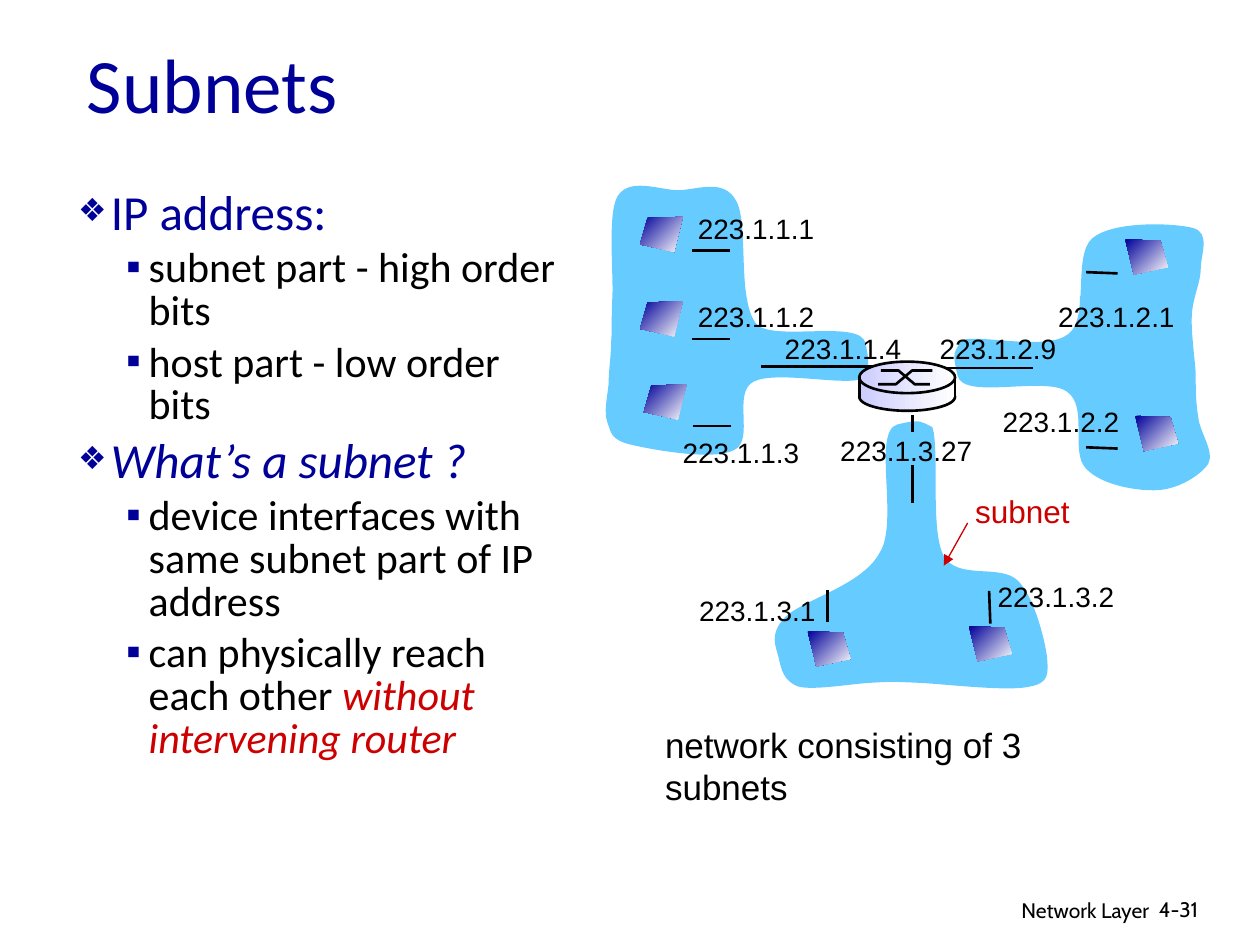
from lxml.etree import SubElement
from pptx import Presentation
from pptx.dml.color import RGBColor
from pptx.enum.shapes import MSO_CONNECTOR, MSO_SHAPE
from pptx.enum.text import MSO_ANCHOR, MSO_AUTO_SIZE, PP_ALIGN
from pptx.oxml.ns import qn
from pptx.util import Cm, Pt

NAVY, RED, SKY, LILAC = "000099", "CC0000", "66CCFF", "CCCCFF"
BLACK, WHITE = "000000", "FFFFFF"

WEST = [(208, 132),
        (205, 112, 138, 130, 122, 117), (105, 98, 116, 36, 105, 18),
        (95, 0, 74, 10, 58, 10), (42, 9, 20, 0, 11, 15),
        (3, 29, 8, 76, 7, 95), (6, 114, 7, 119, 6, 131),
        (6, 142, 4, 153, 4, 164), (3, 174, 0, 186, 3, 194),
        (6, 202, 5, 208, 22, 212), (39, 216, 88, 225, 104, 216),
        (120, 208, 102, 171, 119, 162), (136, 153, 189, 165, 204, 160),
        (210, 150, 212, 152, 208, 132)]
EAST = [(5, 123),
        (9, 143, 75, 123, 92, 136), (109, 148, 94, 184, 107, 197),
        (119, 210, 148, 215, 164, 214), (181, 213, 198, 202, 204, 193),
        (209, 183, 197, 168, 196, 156), (194, 144, 194, 134, 194, 121),
        (193, 107, 190, 87, 191, 74), (192, 60, 198, 49, 198, 38),
        (198, 27, 206, 10, 192, 6), (177, 2, 129, 0, 112, 14),
        (96, 28, 110, 77, 93, 90), (76, 104, 23, 90, 8, 95),
        (3, 105, 0, 103, 5, 123)]
SOUTH = [(102, 5),
         (82, 11, 104, 83, 88, 107), (74, 133, 27, 144, 13, 158),
         (0, 172, 6, 181, 8, 190), (10, 199, 12, 209, 24, 213),
         (36, 216, 64, 211, 80, 210), (96, 209, 99, 209, 120, 210),
         (141, 211, 190, 217, 207, 213), (223, 210, 222, 203, 221, 189),
         (219, 175, 211, 142, 198, 129), (184, 115, 150, 129, 139, 109),
         (128, 89, 136, 25, 130, 7), (121, 3, 122, 0, 102, 5)]


def inch(*sizes):
    return [Cm(2.54 * size) for size in sizes]


def rgb(code):
    return RGBColor.from_string(code)


def write(par, text, size=16, color=BLACK, face="Arial", slant=False):
    run = par.add_run()
    run.text = text
    font = run.font
    font.size, font.name, font.italic = Pt(size), face, slant
    font.color.rgb = rgb(color)


def label(slide, text, x, y, w, h=0.37, align=PP_ALIGN.LEFT, wrap=False, inset=0.1, **style):
    frame = slide.shapes.add_textbox(*inch(x, y, w, h)).text_frame
    frame.word_wrap = wrap
    frame.margin_right = inch(inset)[0]
    par = frame.paragraphs[0]
    par.alignment = align
    write(par, text, **style)


def paint(shape, fill=None, angle=None, line=None):
    shape.shadow.inherit = False
    if fill is None:
        shape.fill.background()
    elif angle is None:
        shape.fill.solid()
        shape.fill.fore_color.rgb = rgb(fill)
    else:
        shape.fill.gradient()
        shape.fill.gradient_angle = angle
        for stop, color in zip(shape.fill.gradient_stops, (fill, WHITE)):
            stop.color.rgb = rgb(color)
    if line:
        shape.line.color.rgb = rgb(line)
        shape.line.width = Pt(1.5)
    else:
        shape.line.fill.background()


def preset(slide, kind, x, y, w, h, **look):
    paint(slide.shapes.add_shape(kind, *inch(x, y, w, h)), **look)


def outline(slide, x, y, points, close=True, **look):
    spots = [inch(x + dx, y + dy) for dx, dy in points]
    pen = slide.shapes.build_freeform(*spots[0])
    pen.add_line_segments(spots[1:], close=close)
    shape = pen.convert_to_shape()
    paint(shape, **look)
    return shape


def blob(slide, x, y, curve):
    flat = [value / 100 for part in curve for value in part]
    shape = outline(slide, x, y, list(zip(flat[::2], flat[1::2])), fill=SKY)
    sides = list(shape._element.iter(qn("a:lnTo")))
    for first, second, last in zip(sides[::3], sides[1::3], sides[2::3]):
        arc = first.getparent().makeelement(qn("a:cubicBezTo"))
        first.addprevious(arc)
        for side in (first, second, last):
            arc.append(side[0])
            side.getparent().remove(side)


def link(slide, x, y, ends, color=BLACK, width=1.5, arrow=False):
    ax, ay, bx, by = ends
    wire = slide.shapes.add_connector(
        MSO_CONNECTOR.STRAIGHT, *inch(x + ax, y + ay, x + bx, y + by))
    wire.line.color.rgb = rgb(color)
    wire.line.width = Pt(width)
    props = wire._element.spPr
    if arrow:
        SubElement(props.find(qn("a:ln")), qn("a:tailEnd"), type="triangle")
    SubElement(props, qn("a:effectLst"))


def host(slide, x, y, flip):
    points = [(0, 0), (0.28, 0.01), (0.34, 0.22), (0.07, 0.28)]
    if flip:
        points = [(0.34 - px, py) for px, py in points]
    outline(slide, x, y, points, fill=NAVY, angle=315)


def subnet(slide, x, y, curve, links, masks, hosts, names, flip=False):
    blob(slide, x, y, curve)
    for ends in links:
        link(slide, x, y, ends)
    for dx, dy in masks:
        preset(slide, MSO_SHAPE.RECTANGLE, x + dx, y + dy, 0.32, 0.26, fill=SKY)
    for dx, dy in hosts:
        host(slide, x + dx, y + dy, flip)
    for name, dx, dy in names:
        label(slide, name, x + dx, y + dy, 0.05 + 0.12 * len(name))


def router(slide, x, y, w):
    for kind, dy, h, line in ((MSO_SHAPE.OVAL, 0.17, 0.22, BLACK),
                              (MSO_SHAPE.RECTANGLE, 0.15, 0.13, None),
                              (MSO_SHAPE.OVAL, 0, 0.25, BLACK)):
        preset(slide, kind, x, y + dy, w, h, fill=LILAC, angle=0, line=line)
    for points in ([(0.15, 0.18), (0.29, 0.18), (0.42, 0.07), (0.58, 0.07)],
                   [(0.17, 0.07), (0.31, 0.07), (0.44, 0.18), (0.56, 0.18)]):
        outline(slide, x, y, points, close=False, line=BLACK)
    for side in (0, w):
        link(slide, x, y, (side, 0.12, side, 0.29))


def network(slide, x, y):
    subnet(slide, x, y, WEST,
           [(0.7, 0.58, 1, 0.58), (0.7, 1.28, 1, 1.28),
            (0.71, 1.97, 1.01, 1.97), (1.25, 1.5, 2.15, 1.5)],
           [(0.82, 0.96)], [(0.29, 0.31), (0.29, 0.98), (0.32, 1.64)],
           [("223.1.1.1", 0.65, 0.22), ("223.1.1.2", 0.65, 0.92),
            ("223.1.1.3", 0.53, 2), ("223.1.1.4", 1.34, 1.17)], flip=True)
    subnet(slide, x + 2.76, y + 0.34, EAST,
           [(-0.05, 1.17, 0.65, 1.17), (1.07, 0.41, 1.32, 0.42), (1.07, 1.8, 1.32, 1.81)],
           [(1.02, 0.6), (1.02, 1.48)], [(1.38, 0.15), (1.46, 1.55)],
           [("223.1.2.9", -0.19, 0.83), ("223.1.2.1", 0.75, 0.58), ("223.1.2.2", 0.31, 1.41)])
    subnet(slide, x + 1.31, y + 1.91, SOUTH,
           [(1.14, -0.03, 1.14, 0.67), (0.47, 1.62, 0.47, 1.36), (1.76, 1.63, 1.75, 1.37)],
           [(0.99, 0.11)], [(0.31, 1.69), (1.59, 1.65)],
           [("223.1.3.1", -0.65, 1.34), ("223.1.3.2", 1.72, 1.23), ("223.1.3.27", 0.47, 0.07)])
    router(slide, x + 2.03, y + 1.46, 0.76)
    label(slide, "subnet", x + 2.85, y + 2.45, 0.95, 0.4, size=18, color=RED)
    link(slide, x, y, (2.89, 2.74, 2.7, 3.08), color=RED, width=0.75, arrow=True)
    label(slide, "network consisting of 3 subnets", x + 0.39, y + 4.28, 4.07, 0.43,
          wrap=True, inset=0.5, size=20)


def place(holder, *box):
    holder.left, holder.top, holder.width, holder.height = inch(*box)
    frame = holder.text_frame
    frame.auto_size = MSO_AUTO_SIZE.NONE
    return frame


def heading(slide, *box):
    frame = place(slide.shapes.title, *box)
    frame.vertical_anchor = MSO_ANCHOR.MIDDLE
    par = frame.paragraphs[0]
    par.alignment = PP_ALIGN.LEFT
    write(par, "Subnets", size=44, color=NAVY, face="Calibri")


def bullet(par, level):
    props = par._p.get_or_add_pPr()
    left, hang = inch(*((0.26, 0.26), (0.56, 0.18))[level])
    props.set("marL", str(left))
    props.set("indent", str(-hang))
    SubElement(SubElement(props, qn("a:buClr")), qn("a:srgbClr"), val=NAVY)
    SubElement(props, qn("a:buSzPct"), val=("65000", "100000")[level])
    SubElement(props, qn("a:buChar"), char="❖▪"[level])


def points(slide, *box):
    frame = place(slide.placeholders[1], *box)
    rows = [(0, "IP address:", ""),
            (1, "subnet part - high order bits", ""),
            (1, "host part - low order bits", ""),
            (0, "", "What’s a subnet ?"),
            (1, "device interfaces with same subnet part of IP address", ""),
            (1, "can physically reach each other ", "without intervening router")]
    for row, (level, plain, slant) in enumerate(rows):
        par = frame.add_paragraph() if row else frame.paragraphs[0]
        size = (28, 24)[level]
        par.level = level
        par.line_spacing = 0.85
        par.space_before = Pt(size * 0.2 if row else 0)
        bullet(par, level)
        if plain:
            write(par, plain, size=size, color=(NAVY, BLACK)[level], face="Calibri")
        if slant:
            write(par, slant, size=size, color=(NAVY, RED)[level], face="Calibri", slant=True)


def footer(slide, x, y):
    label(slide, "Network Layer", x, y, 3.17, 0.31, align=PP_ALIGN.RIGHT,
          wrap=True, size=12, face="Cabin")
    label(slide, "4-31", x + 3.05, y, 0.74, 0.3, wrap=True, size=12, face="Cabin")


def main():
    deck = Presentation()
    deck.slide_width, deck.slide_height = inch(10, 7.5)
    slide = deck.slides.add_slide(deck.slide_layouts[1])
    footer(slide, 6.05, 7.07)
    heading(slide, 0.59, 0.24, 4.05, 0.84)
    points(slide, 0.52, 1.46, 4.04, 5.08)
    network(slide, 4.79, 1.41)
    deck.save("out.pptx")


if __name__ == "__main__":
    main()
